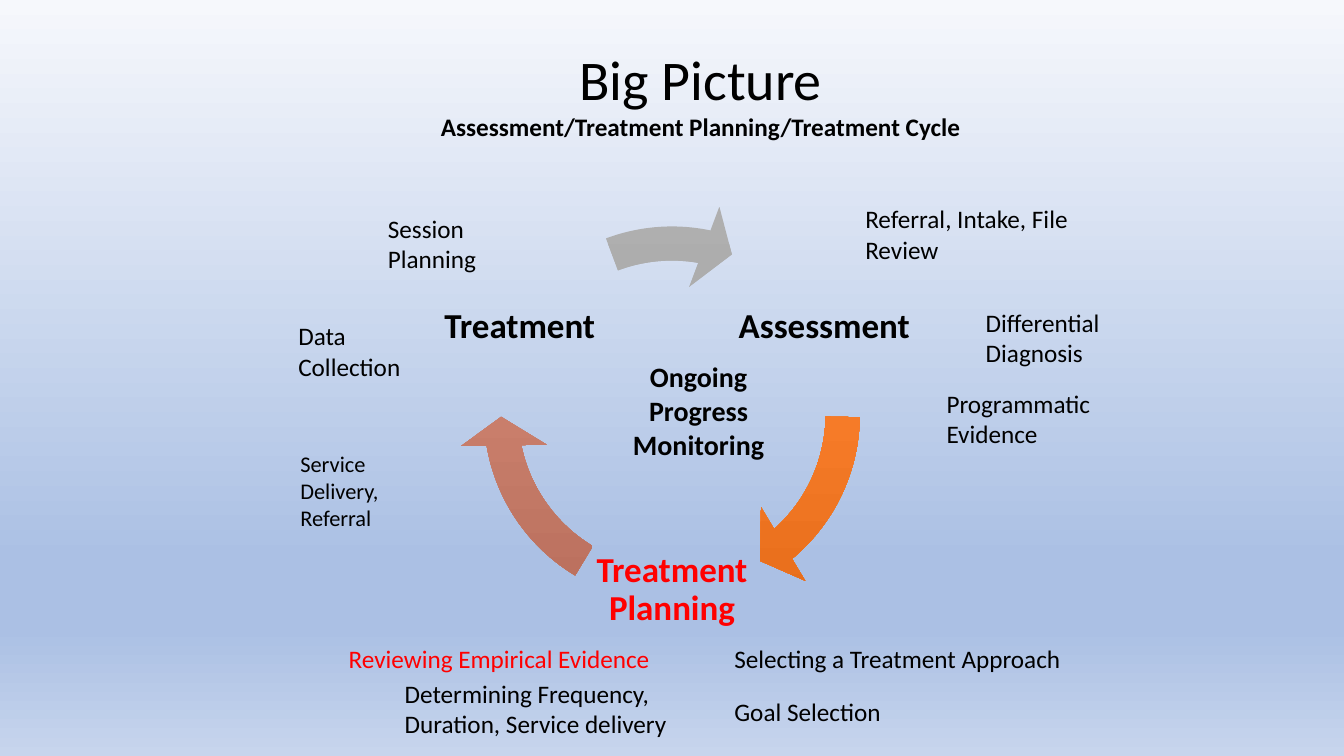
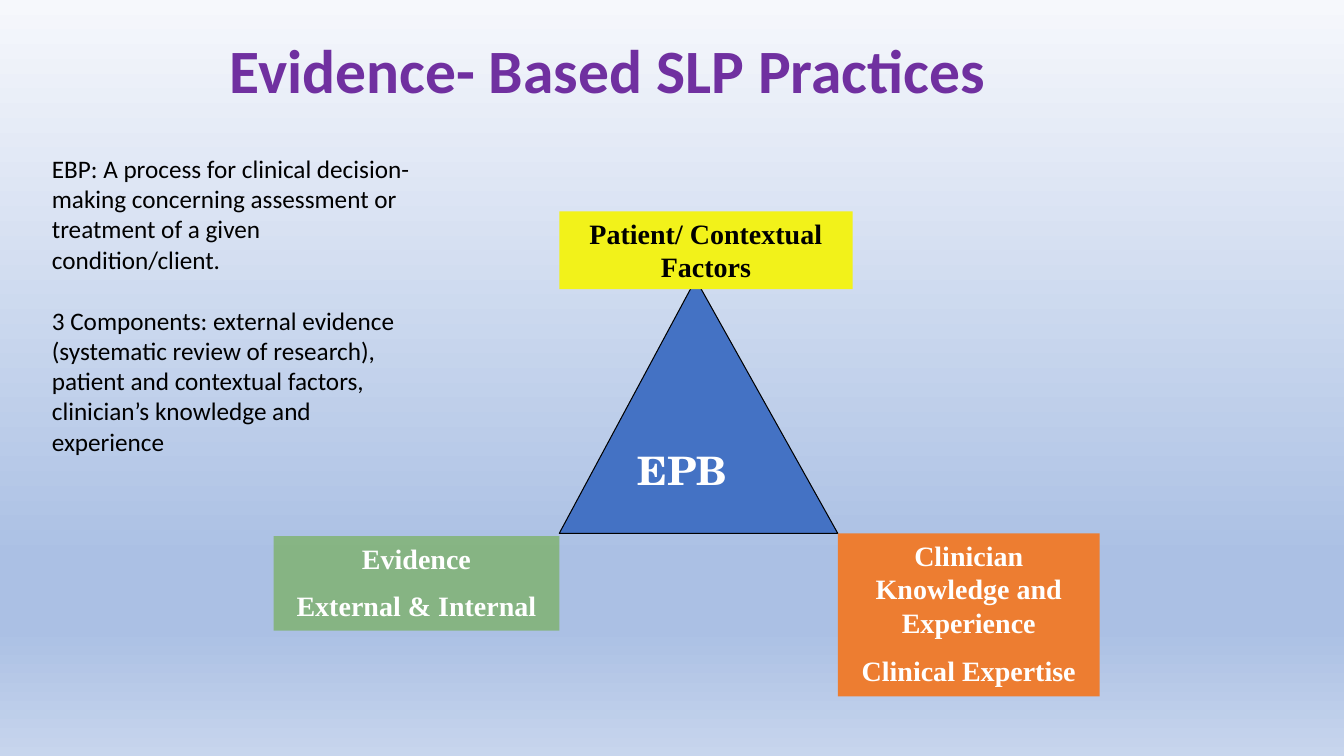
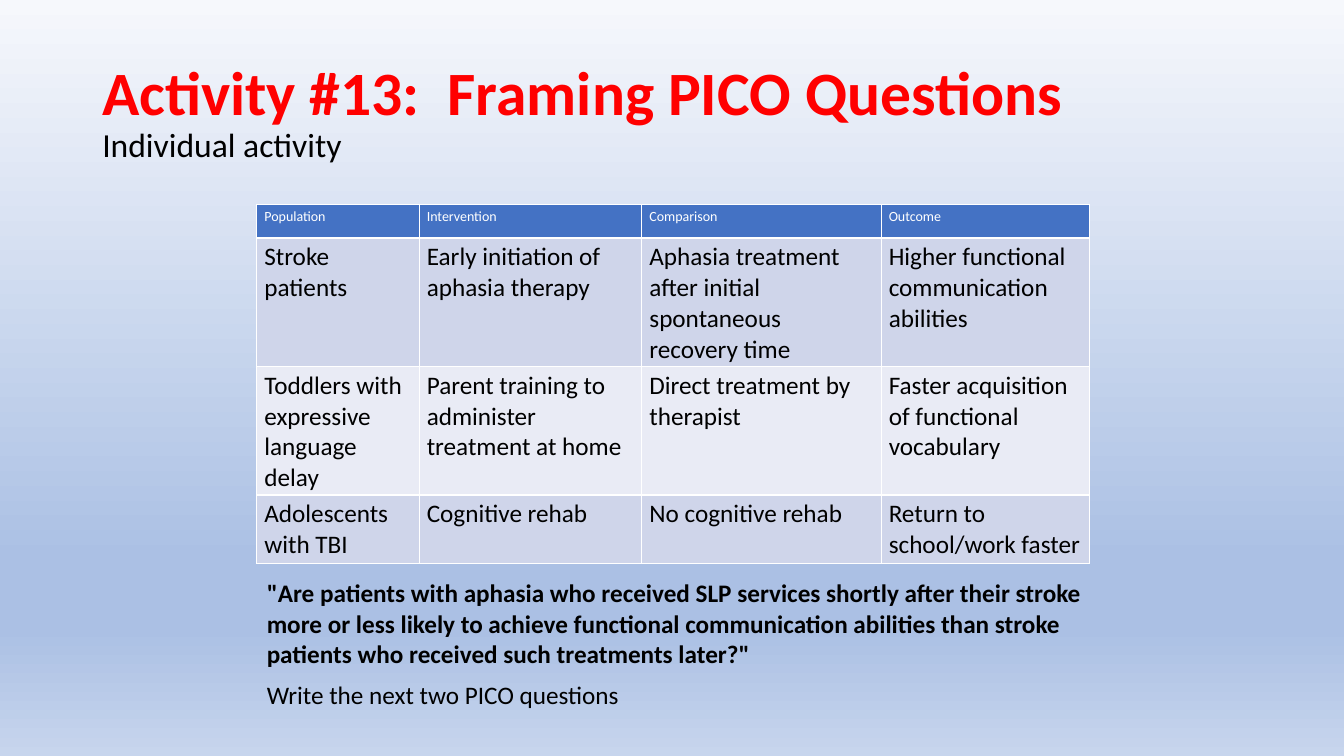
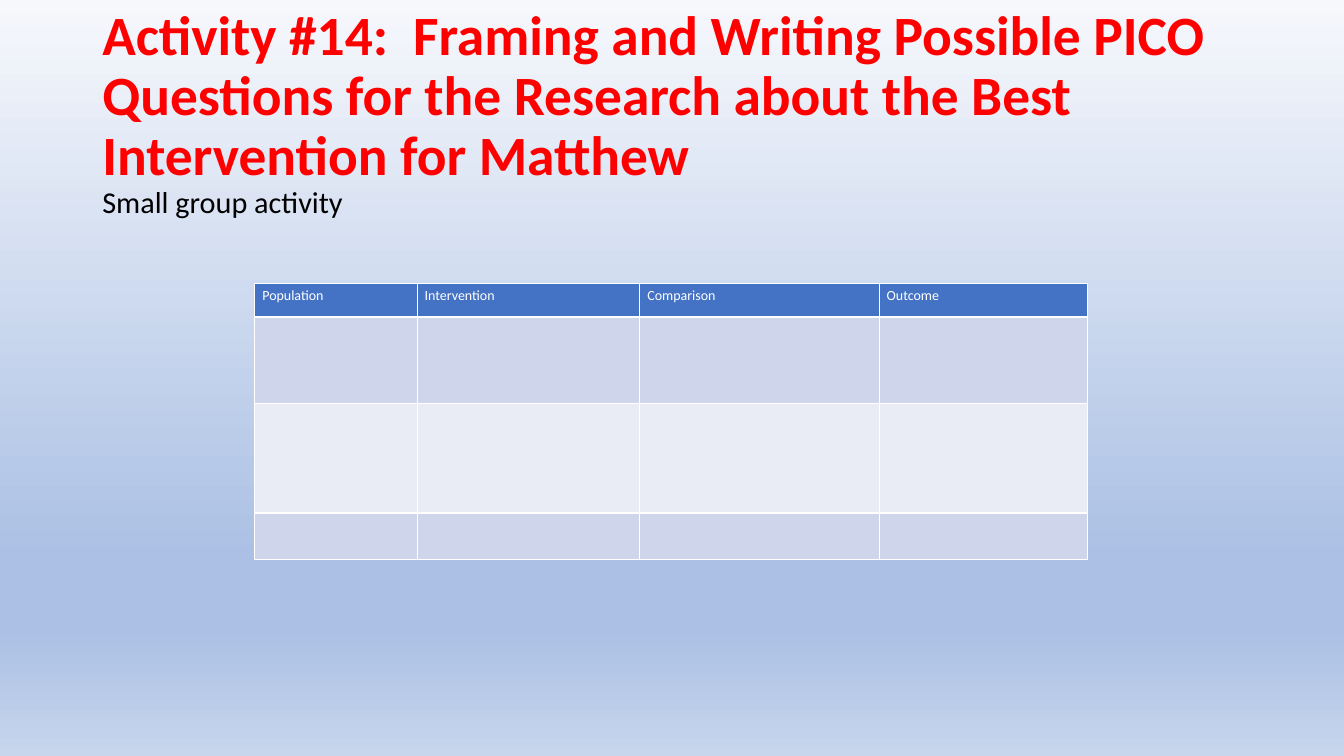
from dataclasses import dataclass

import lxml.etree
import pptx
import pptx.dml.color
import pptx.dml.fill
import pptx.enum.shapes
import pptx.enum.text
import pptx.oxml.ns
import pptx.shapes.autoshape
import pptx.slide
import pptx.text.text
import pptx.util

Pt = pptx.util.Pt
qn = pptx.oxml.ns.qn
Align = pptx.enum.text.PP_ALIGN
Anchor = pptx.enum.text.MSO_ANCHOR
Preset = pptx.enum.shapes.MSO_SHAPE

COLORS = {
    "black": "000000",
    "white": "FFFFFF",
    "red": "FF0000",
    "purple": "7030A0",
    "blue": "4472C4",
    "yellow": "F2F21A",
    "orange": "ED7D31",
    "green": "70AD47",
    "band_dark": "CFD5EA",
    "band_light": "E9EBF5",
    "sky_top": "F6F8FC",
    "sky_deep": "ABC0E4",
    "sky_bottom": "C7D5ED",
    "orange_light": "F18C57",
    "orange_mid": "F67B28",
    "orange_dark": "E56C19",
    "clay_light": "CB8F81",
    "clay_mid": "C97E6B",
    "clay_dark": "B76D5B",
    "gray_light": "AFAFAF",
    "gray_mid": "A5A5A5",
    "gray_dark": "939393",
}
BODY_FONT = "Calibri"
FACTOR_FONT = "Times New Roman"

PICO_HEADINGS = ("Population", "Intervention", "Comparison", "Outcome")
PICO_WIDTHS = (116, 159, 171, 149)
PICO_HEIGHTS = (24, 62, 78, 33)


@dataclass(frozen=True)
class Box:
    left: float
    top: float
    width: float
    height: float

    def lengths(self) -> tuple[pptx.util.Length, ...]:
        return Pt(self.left), Pt(self.top), Pt(self.width), Pt(self.height)


@dataclass(frozen=True)
class Line:
    text: str
    size: float = 18
    color: str = "black"
    bold: bool = False
    font: str = BODY_FONT


@dataclass(frozen=True)
class Layout:
    align: Align = Align.LEFT
    anchor: Anchor = Anchor.TOP
    spacing: float = 1.0
    gap: float = 0
    inset: float | None = None
    wrap: bool = True


@dataclass(frozen=True)
class Label:
    box: Box
    line: Line
    layout: Layout = Layout()


@dataclass(frozen=True)
class CycleArrow:
    head_angle: float
    tail_angle: float
    colors: tuple[str, str, str]


@dataclass(frozen=True)
class Factor:
    box: Box
    fill: str
    texts: tuple[str, ...]
    color: str = "white"
    opacity: int = 100


CENTERED = Layout(align=Align.CENTER)
TITLE = Layout(anchor=Anchor.MIDDLE, spacing=0.9)
CYCLE_NODE = Layout(Align.CENTER, Anchor.MIDDLE, spacing=0.9, inset=2)
ACTIVITY_TITLE_BOX = Box(66, 29, 828, 104.5)


def rgb(color: str) -> pptx.dml.color.RGBColor:
    return pptx.dml.color.RGBColor.from_string(COLORS[color])


def style_paragraph(paragraph: pptx.text.text._Paragraph, line: Line) -> None:
    paragraph.text = line.text
    font = paragraph.font
    font.name = line.font
    font.size = Pt(line.size)
    font.bold = line.bold
    font.color.rgb = rgb(line.color)


def write_text(frame: pptx.text.text.TextFrame, lines: list[Line], layout: Layout) -> None:
    frame.word_wrap = layout.wrap
    frame.vertical_anchor = layout.anchor
    if layout.inset is not None:
        frame.margin_left = frame.margin_right = Pt(layout.inset)
        frame.margin_top = frame.margin_bottom = Pt(layout.inset)
    for index, line in enumerate(lines):
        paragraph = frame.add_paragraph() if index else frame.paragraphs[0]
        style_paragraph(paragraph, line)
        paragraph.alignment = layout.align
        paragraph.line_spacing = layout.spacing
        if index and layout.gap:
            paragraph.space_before = Pt(layout.gap)


def add_text(slide: pptx.slide.Slide, box: Box, lines: list[Line], layout: Layout = Layout()) -> None:
    write_text(slide.shapes.add_textbox(*box.lengths()).text_frame, lines, layout)


def add_labels(slide: pptx.slide.Slide, labels: list[Label]) -> None:
    for label in labels:
        add_text(slide, label.box, [label.line], label.layout)


def add_preset(slide: pptx.slide.Slide, preset: Preset, box: Box) -> pptx.shapes.autoshape.Shape:
    shape = slide.shapes.add_shape(preset, *box.lengths())
    shape.shadow.inherit = False
    shape.line.fill.background()
    return shape


def fill_gradient(
    fill: pptx.dml.fill.FillFormat, owner: lxml.etree.ElementBase, stops: list[tuple[int, str]]
) -> None:
    fill.gradient()
    fill.gradient_angle = 270
    stop_list = owner.find(".//" + qn("a:gsLst"))
    for old_stop in list(stop_list):
        stop_list.remove(old_stop)
    for percent, color in stops:
        stop = lxml.etree.SubElement(stop_list, qn("a:gs"), pos=str(percent * 1000))
        lxml.etree.SubElement(stop, qn("a:srgbClr"), val=COLORS[color])


def add_cycle_arrow(slide: pptx.slide.Slide, arrow: CycleArrow) -> None:
    shape = add_preset(slide, Preset.CIRCULAR_ARROW, Box(327.5, 143.5, 305, 305))
    for index, value in enumerate((0.08, 5.76, arrow.head_angle, arrow.tail_angle, 0.1)):
        shape.adjustments[index] = value
    fill_gradient(shape.fill, shape.element, list(zip((0, 50, 100), arrow.colors)))


def add_factor(slide: pptx.slide.Slide, factor: Factor) -> None:
    shape = add_preset(slide, Preset.RECTANGLE, factor.box)
    shape.fill.solid()
    shape.fill.fore_color.rgb = rgb(factor.fill)
    if factor.opacity < 100:
        color = shape.element.spPr.find(".//" + qn("a:srgbClr"))
        lxml.etree.SubElement(color, qn("a:alpha"), val=str(factor.opacity * 1000))
    lines = [Line(text, 20, factor.color, True, FACTOR_FONT) for text in factor.texts]
    write_text(shape.text_frame, lines, Layout(align=Align.CENTER, gap=10))


def add_pico_table(slide: pptx.slide.Slide, left: float, top: float, rows: list[tuple[str, ...]]) -> None:
    box = Box(left, top, sum(PICO_WIDTHS), sum(PICO_HEIGHTS))
    table = slide.shapes.add_table(len(PICO_HEIGHTS), len(PICO_WIDTHS), *box.lengths()).table
    for column, width in zip(table.columns, PICO_WIDTHS):
        column.width = Pt(width)
    for row, height in zip(table.rows, PICO_HEIGHTS):
        row.height = Pt(height)
    for row_index, texts in enumerate([PICO_HEADINGS, *rows]):
        band = "band_dark" if row_index % 2 else "band_light"
        for column_index, text in enumerate(texts):
            cell = table.cell(row_index, column_index)
            cell.margin_left = cell.margin_right = Pt(5.4)
            cell.margin_top = cell.margin_bottom = Pt(2.7)
            cell.fill.solid()
            cell.fill.fore_color.rgb = rgb(band if row_index else "blue")
            line = Line(text) if row_index else Line(text, 10, "white")
            style_paragraph(cell.text_frame.paragraphs[0], line)


def build_big_picture(slide: pptx.slide.Slide) -> None:
    arrows = [
        CycleArrow(29.64, 0.52, ("orange_light", "orange_mid", "orange_dark")),
        CycleArrow(101.73, 72.6, ("clay_light", "clay_mid", "clay_dark")),
        CycleArrow(168.57, 149.67, ("gray_light", "gray_mid", "gray_dark")),
    ]
    for arrow in arrows:
        add_cycle_arrow(slide, arrow)

    stages = [
        ("Assessment", 524.25, 169, "black"),
        ("Treatment Planning", 415.5, 357, "red"),
        ("Treatment", 306.75, 169, "black"),
    ]
    for text, left, top, color in stages:
        add_text(slide, Box(left, top, 129, 129), [Line(text, 25, color, True)], CYCLE_NODE)

    heading = [
        Line("Big Picture", 40),
        Line("Assessment/Treatment Planning/Treatment Cycle", bold=True),
    ]
    add_text(slide, Box(206, 28, 589, 78), heading, CENTERED)
    add_labels(slide, [
        Label(Box(611, 142, 172, 51), Line("Referral, Intake, File Review")),
        Label(Box(430, 253.5, 138, 80), Line("Ongoing Progress Monitoring", 20, bold=True), CENTERED),
        Label(Box(697, 216, 120, 51), Line("Differential Diagnosis")),
        Label(Box(242, 456, 258, 29), Line("Reviewing Empirical Evidence", color="red")),
        Label(Box(669, 273.5, 126, 51), Line("Programmatic Evidence")),
        Label(Box(517.5, 456, 277, 29), Line("Selecting a Treatment Approach")),
        Label(Box(282, 481, 235.5, 51), Line("Determining Frequency, Duration, Service delivery")),
        Label(Box(270, 148.5, 101.5, 51), Line("Session Planning")),
        Label(Box(206, 225.5, 101, 51), Line("Data Collection")),
        Label(Box(517.5, 494, 227, 29), Line("Goal Selection")),
        Label(Box(207.5, 318, 106.5, 65.5), Line("Service Delivery, Referral", 16)),
    ])


def build_evidence_based(slide: pptx.slide.Slide) -> None:
    triangle = add_preset(slide, Preset.ISOSCELES_TRIANGLE, Box(399.5, 199.5, 199, 181.5))
    triangle.adjustments[0] = 0.49
    triangle.fill.solid()
    triangle.fill.fore_color.rgb = rgb("blue")
    triangle.line.color.rgb = rgb("black")
    triangle.line.width = Pt(0.75)
    write_text(
        triangle.text_frame,
        [Line("EPB", 28, "white", True, "TeX Gyre Schola")],
        Layout(anchor=Anchor.MIDDLE, wrap=False),
    )
    title = Line("Evidence- Based SLP Practices", 44, "purple", True)
    add_text(slide, Box(157, 21, 630, 62.5), [title], TITLE)

    factors = [
        Factor(Box(399.5, 151, 209.5, 55.5), "yellow", ("Patient/ Contextual Factors",), "black"),
        Factor(
            Box(598.5, 381, 187, 116.5),
            "orange",
            ("Clinician Knowledge and Experience", "Clinical Expertise"),
        ),
        Factor(Box(195.5, 383, 204, 67.5), "green", ("Evidence", "External & Internal"), opacity=61),
    ]
    for factor in factors:
        add_factor(slide, factor)

    definition = [
        Line(
            "EBP: A process for clinical decision-making concerning assessment "
            "or treatment of a given condition/client."
        ),
        Line(
            "3 Components: external evidence (systematic review of research), "
            "patient and contextual factors, clinician’s knowledge and experience"
        ),
    ]
    add_text(slide, Box(30, 106, 280, 225), definition, Layout(gap=22))


def build_framing_activity(slide: pptx.slide.Slide) -> None:
    title = [
        Line("Activity #13:  Framing PICO Questions", 44, "red", True),
        Line("Individual activity", 24),
    ]
    add_text(slide, ACTIVITY_TITLE_BOX, title, TITLE)
    add_pico_table(slide, 183.5, 146, [
        (
            "Stroke patients",
            "Early initiation of aphasia therapy",
            "Aphasia treatment after initial spontaneous recovery time",
            "Higher functional communication abilities",
        ),
        (
            "Toddlers with expressive language delay",
            "Parent training to administer treatment at home",
            "Direct treatment by therapist",
            "Faster acquisition of functional vocabulary",
        ),
        ("Adolescents with TBI", "Cognitive rehab", "No cognitive rehab", "Return to school/work faster"),
    ])
    question = (
        '"Are patients with aphasia who received SLP services shortly after their stroke '
        "more or less likely to achieve functional communication abilities than stroke "
        'patients who received such treatments later?"'
    )
    add_labels(slide, [
        Label(Box(183.5, 409, 607, 73), Line(question, bold=True)),
        Label(Box(183.5, 481.5, 607, 29), Line("Write the next two PICO questions")),
    ])


def build_group_activity(slide: pptx.slide.Slide) -> None:
    heading = (
        "Activity #14:  Framing and Writing Possible PICO Questions "
        "for the Research about the Best Intervention for Matthew"
    )
    title = [Line(heading, 39.6, "red", True), Line("Small group activity", 21.6)]
    add_text(slide, ACTIVITY_TITLE_BOX, title, TITLE)
    add_pico_table(slide, 182, 202.5, [("",) * len(PICO_HEADINGS)] * 3)


def main() -> None:
    presentation = pptx.Presentation()
    presentation.slide_width = Pt(960)
    presentation.slide_height = Pt(540)
    master = presentation.slide_master
    sky = [(0, "sky_top"), (74, "sky_deep"), (83, "sky_deep"), (100, "sky_bottom")]
    fill_gradient(master.background.fill, master.element, sky)
    blank = presentation.slide_layouts[6]
    for build in (build_big_picture, build_evidence_based, build_framing_activity, build_group_activity):
        build(presentation.slides.add_slide(blank))
    presentation.save("out.pptx")


if __name__ == "__main__":
    main()
